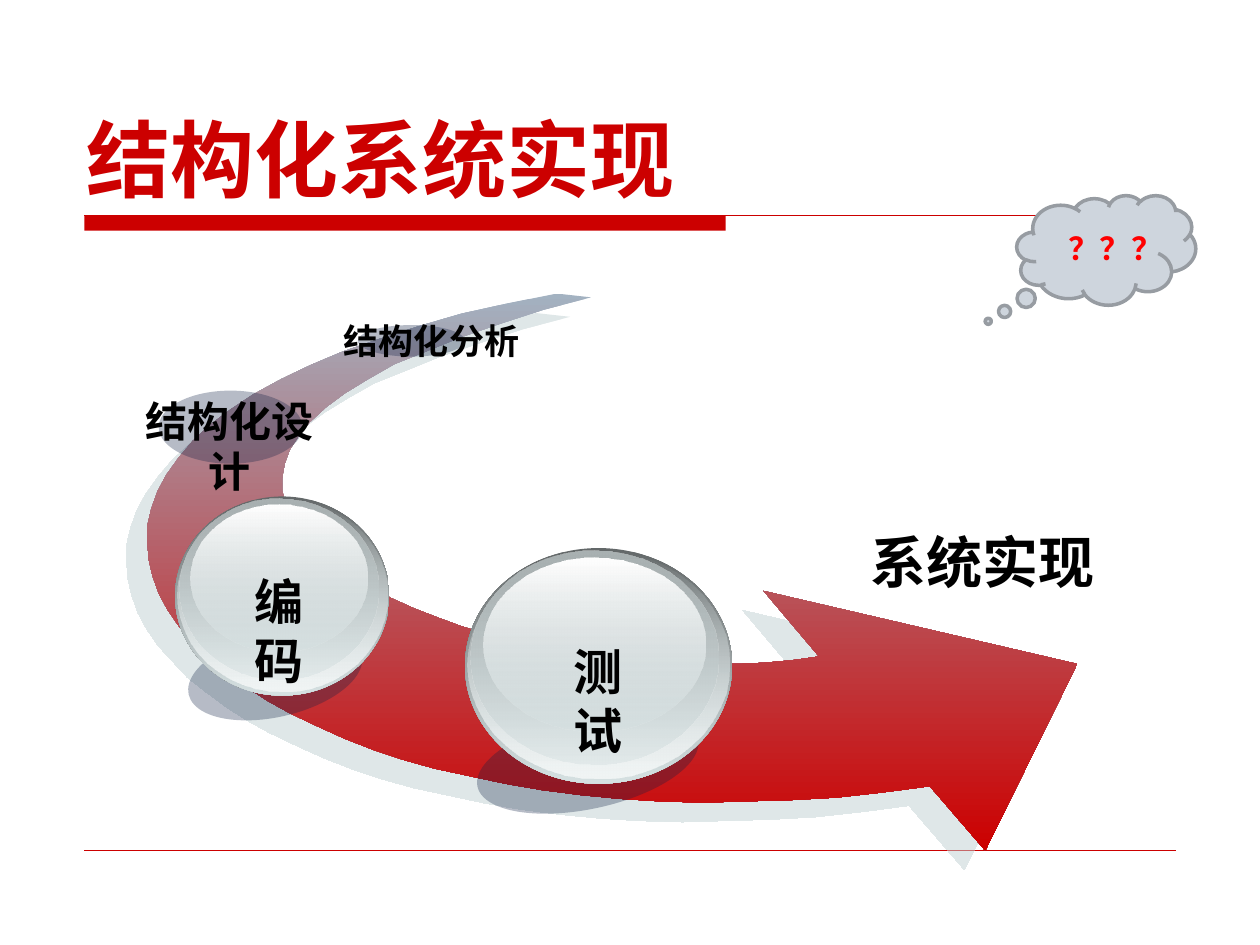
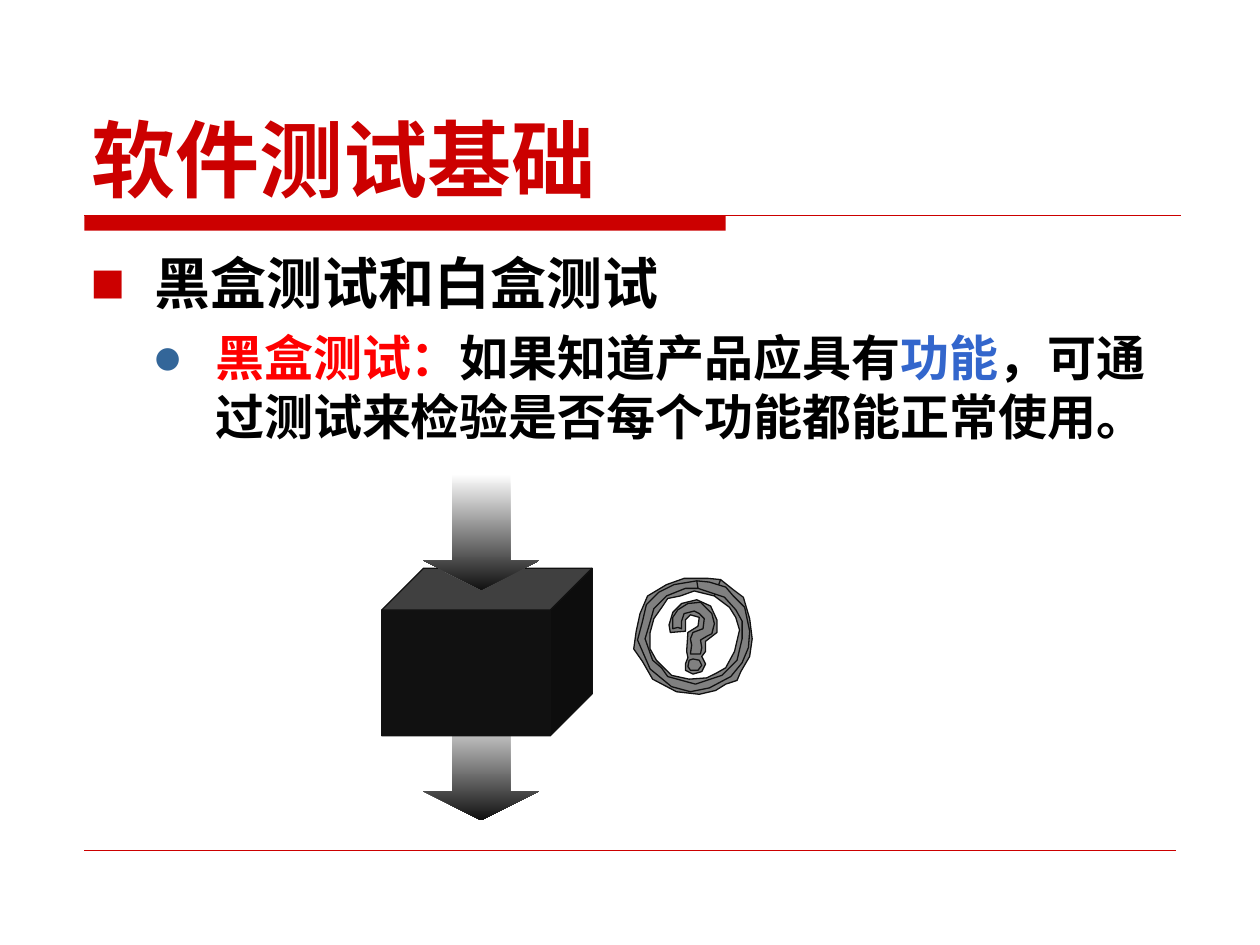
"""Build two slides on structured implementation and software testing."""
from itertools import zip_longest

from lxml.etree import SubElement
from pptx import Presentation
from pptx.dml.color import RGBColor
from pptx.enum.shapes import MSO_CONNECTOR as Connector, MSO_SHAPE as Shape
from pptx.enum.text import MSO_ANCHOR as Anchor, PP_ALIGN as Align
from pptx.oxml.ns import qn
from pptx.util import Emu, Pt

COLUMNS, ROWS = 1000, 750
CELL = 9144

RED = RGBColor(0xCC, 0x00, 0x00)
BRIGHT_RED = RGBColor(0xFF, 0x00, 0x00)
BLUE = RGBColor(0x33, 0x66, 0xCC)
BULLET_BLUE = RGBColor(0x33, 0x66, 0x99)
BLACK = RGBColor(0x00, 0x00, 0x00)
COAL = RGBColor(0x11, 0x11, 0x11)
WHITE = RGBColor(0xFF, 0xFF, 0xFF)
GRAY = RGBColor(0x80, 0x80, 0x80)
STEEL = RGBColor(0xA3, 0xB2, 0xC1)
NAVY = RGBColor(0x0F, 0x21, 0x45)
CLOUD = RGBColor(0xCE, 0xD5, 0xDD)
CLOUD_EDGE = RGBColor(0x97, 0x9C, 0xA2)
RIM = RGBColor(0x63, 0x68, 0x69)
MIST = RGBColor(0xD6, 0xE1, 0xE2)
PALE = RGBColor(0xF1, 0xF5, 0xF5)
SILVER = RGBColor(0xAA, 0xB2, 0xB3)
SHADE = RGBColor(0xC1, 0xD1, 0xD3)

CJK_FONT = "Noto Sans CJK SC"
LATIN_FONT = "DejaVu Sans"

ORB_LAYERS = [
    ((0, 0, 1, 1), (RIM, MIST), ()),
    ((0.01, 0.01, 0.98, 0.97), (MIST, PALE), (0,)),
    ((0.02, 0.01, 0.93, 0.91), (SILVER, MIST), (100, 48)),
    ((0.07, 0.04, 0.83, 0.74), (WHITE, MIST), (100, 38)),
]

SWOOSH = [
    (442, 233), (402, 241), (366, 249), (332, 259), (301, 269), (272, 279),
    (246, 290), (223, 301), (201, 313), (183, 325), (167, 337), (153, 350),
    (142, 363), (132, 377), (125, 390), (120, 404), (117, 417), (117, 431),
    (118, 444), (121, 457), (126, 471), (133, 484), (142, 497), (153, 509),
    (165, 522), (179, 533), (195, 545), (212, 556), (230, 566), (251, 576),
    (273, 586), (296, 595), (320, 603), (345, 610), (373, 616), (401, 622),
    (430, 627), (461, 631), (492, 634), (524, 636), (558, 637), (592, 636),
    (628, 635), (664, 633), (700, 629), (738, 624), (782, 675), (855, 527),
    (606, 469), (650, 521), (629, 524), (607, 526), (585, 527), (562, 527),
    (540, 527), (517, 525), (494, 523), (472, 521), (450, 517), (428, 513),
    (407, 508), (386, 503), (366, 497), (347, 490), (329, 483), (311, 475),
    (296, 467), (281, 459), (268, 450), (256, 441), (246, 431), (238, 421),
    (231, 411), (227, 400), (224, 390), (224, 379), (226, 368), (230, 357),
    (237, 346), (246, 335), (259, 323), (274, 312), (292, 301), (313, 289),
    (338, 279), (365, 268), (397, 257), (431, 246), (469, 236),
]
MARK_OUTER = [
    (544, 492), (548, 488), (555, 490), (554, 497), (546, 502), (545, 517),
    (546, 522), (544, 527), (544, 532), (550, 535), (557, 533), (560, 527),
    (557, 521), (560, 517), (560, 509), (569, 502), (569, 492), (564, 481),
    (553, 476), (541, 479), (534, 486), (531, 496), (532, 502), (544, 501),
]
MARK_INNER = [
    (534, 499), (538, 498), (541, 499), (541, 493), (543, 487), (551, 485),
    (555, 487), (559, 491), (558, 499), (550, 502), (548, 507), (549, 512),
    (548, 519), (556, 519), (557, 514), (556, 508), (561, 505), (565, 503),
    (567, 495), (565, 487), (556, 478), (546, 479), (538, 484), (534, 490),
]
MARK_DOT = [
    (550, 523), (547, 524), (546, 529), (548, 532), (554, 532), (557, 528),
    (555, 524),
]
RING_OUTER = [
    (562, 459), (543, 459), (529, 464), (514, 473), (508, 487), (505, 501),
    (503, 515), (510, 525), (518, 539), (537, 549), (555, 551), (568, 548),
    (576, 543), (585, 540), (588, 533), (595, 521), (597, 507), (595, 491),
    (590, 474), (582, 468), (572, 460), (567, 473), (579, 482), (584, 490),
    (587, 500), (583, 517), (576, 530), (569, 534), (561, 538), (547, 539),
    (533, 536), (521, 524), (516, 515), (516, 502), (519, 491), (526, 481),
    (530, 475), (540, 473), (551, 469), (567, 473), (572, 460),
]
RING_INNER = [
    (554, 467), (544, 467), (529, 473), (519, 483), (515, 497), (512, 507),
    (518, 524), (525, 530), (530, 537), (541, 540), (552, 543), (573, 536),
    (585, 524), (589, 507), (589, 493), (584, 484), (575, 474), (554, 467),
    (553, 461), (563, 462), (576, 466), (582, 473), (591, 482), (595, 501),
    (594, 514), (589, 526), (580, 537), (563, 546), (548, 549), (533, 545),
    (516, 531), (506, 508), (510, 493), (513, 480), (523, 470), (535, 464),
    (553, 461),
]


def cells(*counts):
    """Turn counts of grid cells into lengths."""
    return [Emu(round(count * CELL)) for count in counts]


def paint(shape, colors, opacities=(), line=None, width=0.75):
    """Give a shape a solid or top-to-bottom gradient fill and an outline."""
    shape.shadow.inherit = False
    if len(colors) == 1:
        shape.fill.solid()
        shape.fill.fore_color.rgb = colors[0]
    else:
        shape.fill.gradient()
        shape.fill.gradient_angle = 270
        for stop, color, position in zip(shape.fill.gradient_stops, colors, (0, 1)):
            stop.color.rgb = color
            stop.position = position
    marks = list(shape._element.spPr.iter(qn("a:srgbClr")))
    for mark, opacity in zip_longest(marks, opacities, fillvalue=100):
        if opacity < 100:
            SubElement(mark, qn("a:alpha"), val=str(opacity * 1000))
    if line is None:
        shape.line.fill.background()
    else:
        shape.line.color.rgb = line
        shape.line.width = Pt(width)
    return shape


def add_preset(shapes, kind, box, colors, adjustments=(), rotation=0, **style):
    """Add a painted preset shape."""
    shape = shapes.add_shape(kind, *cells(*box))
    for index, value in enumerate(adjustments):
        shape.adjustments[index] = value
    shape.rotation = rotation
    return paint(shape, colors, **style)


def add_outline(shapes, points, colors, **style):
    """Add a painted closed outline through grid points."""
    builder = shapes.build_freeform(*points[0], scale=CELL)
    builder.add_line_segments(points[1:], close=True)
    return paint(builder.convert_to_shape(), colors, **style)


def add_rule(shapes, start, end, width):
    """Add a thin red line without shadow."""
    line = shapes.add_connector(Connector.STRAIGHT, *cells(*start, *end))
    line.line.color.rgb = RED
    line.line.width = Pt(width)
    SubElement(line._element.spPr, qn("a:effectLst"))


def add_run(paragraph, text, size=28, color=BLACK, font=CJK_FONT):
    """Add a bold run in one font for all scripts."""
    run = paragraph.add_run()
    run.text = text
    run.font.size = Pt(size)
    run.font.bold = True
    run.font.color.rgb = color
    run.font.name = font
    properties = run._r.get_or_add_rPr()
    properties.set("lang", "zh-CN")
    SubElement(properties, qn("a:ea"), typeface=font)


def add_text(shapes, box, text, align=Align.LEFT, anchor=Anchor.TOP, wrap=True, **style):
    """Add a text box holding one formatted line."""
    frame = shapes.add_textbox(*cells(*box)).text_frame
    frame.word_wrap = wrap
    frame.vertical_anchor = anchor
    frame.paragraphs[0].alignment = align
    add_run(frame.paragraphs[0], text, **style)


def set_bullet(paragraph, symbol, color, percent, margin, hang, space):
    """Give a paragraph a coloured bullet with a hanging indent."""
    paragraph.space_before = Pt(space)
    properties = paragraph._p.get_or_add_pPr()
    left, indent = cells(margin, -hang)
    properties.set("marL", str(left))
    properties.set("indent", str(indent))
    tint = SubElement(properties, qn("a:buClr"))
    SubElement(tint, qn("a:srgbClr"), val=str(color))
    SubElement(properties, qn("a:buSzPct"), val=str(percent * 1000))
    SubElement(properties, qn("a:buFont"), typeface=LATIN_FONT)
    SubElement(properties, qn("a:buChar"), char=symbol)


def add_drop_shadow(shape, color, opacity, distance, angle):
    """Add a hard offset shadow."""
    effects = shape._element.spPr.find(qn("a:effectLst"))
    shadow = SubElement(effects, qn("a:outerShdw"), dist=str(Pt(distance)),
                        dir=str(angle * 60000), algn="ctr", rotWithShape="0")
    tint = SubElement(shadow, qn("a:srgbClr"), val=str(color))
    SubElement(tint, qn("a:alpha"), val=str(opacity * 1000))


def add_orb(slide, box, shadow, tilt, label, text):
    """Add a glossy labelled ball with its cast shadow."""
    shapes = slide.shapes.add_group_shape().shapes
    left, top, width, height = box
    add_preset(shapes, Shape.OVAL, shadow, [NAVY], rotation=tilt, opacities=(30,))
    for (x, y, w, h), colors, opacities in ORB_LAYERS:
        layer = (left + x * width, top + y * height, w * width, h * height)
        add_preset(shapes, Shape.OVAL, layer, colors, opacities=opacities)
    add_text(shapes, label, text, align=Align.CENTER, wrap=False)


def add_framed_slide(presentation, title, left):
    """Add a blank slide with the red title, title band and foot rule."""
    slide = presentation.slides.add_slide(presentation.slide_layouts[6])
    shapes = slide.shapes
    add_preset(shapes, Shape.RECTANGLE, (67, 171, 509, 12), [RED])
    add_rule(shapes, (67, 171), (937, 171), 0.75)
    add_rule(shapes, (67, 675), (933, 675), 0.25)
    add_text(shapes, (left, 65, 875, 105), title, anchor=Anchor.BOTTOM,
             size=48, color=RED)
    return slide


def build_implementation(presentation):
    """Show the stages along a sweeping arrow."""
    slide = add_framed_slide(presentation, "结构化系统实现", 59)
    shapes = slide.shapes
    swoosh = add_outline(shapes, SWOOSH, (STEEL, RED))
    add_drop_shadow(swoosh, SHADE, 50, 16.3, 137)
    add_text(shapes, (681, 414, 225, 64), "系统实现", size=32)
    add_orb(slide, (369, 435, 212, 187), (377, 569, 179, 73), 347.9,
            (426, 504, 97, 57), "测试")
    add_orb(slide, (139, 394, 170, 158), (148, 502, 141, 67), 347.1,
            (173, 449, 97, 57), "编码")
    for spot in ((126, 310, 114, 58), (284, 258, 85, 25)):
        add_preset(shapes, Shape.OVAL, spot, [NAVY], opacities=(30,))
    add_text(shapes, (89, 309, 186, 50), "结构化设计", align=Align.CENTER,
             wrap=False, size=24)
    add_text(shapes, (248, 249, 189, 44), "结构化分析", align=Align.CENTER, size=20)
    cloud = add_preset(shapes, Shape.CLOUD_CALLOUT, (807, 155, 142, 87), [CLOUD],
                       adjustments=(-0.66, 0.65), line=CLOUD_EDGE, width=2)
    cloud.text_frame.vertical_anchor = Anchor.MIDDLE
    thought = cloud.text_frame.paragraphs[0]
    thought.alignment = Align.CENTER
    add_run(thought, "？？？", size=18, color=BRIGHT_RED, font=LATIN_FONT)


def build_testing(presentation):
    """Explain black-box testing with a box between two arrows."""
    slide = add_framed_slide(presentation, "软件测试基础", 63)
    shapes = slide.shapes
    frame = shapes.add_textbox(*cells(62, 192, 875, 467)).text_frame
    frame.word_wrap = True
    heading = frame.paragraphs[0]
    set_bullet(heading, "■", RED, 65, 51, 51, 8)
    add_run(heading, "黑盒测试和白盒测试", size=32, font=LATIN_FONT)
    detail = frame.add_paragraph()
    detail.level = 1
    set_bullet(detail, "●", BULLET_BLUE, 60, 99, 48, 7)
    for text, color in (("黑盒测试：", BRIGHT_RED), ("如果知道产品应具有", BLACK),
                        ("功能", BLUE),
                        ("，可通过测试来检验是否每个功能都能正常使用。", BLACK)):
        add_run(detail, text, color=color, font=LATIN_FONT)

    arrow = dict(colors=(WHITE, COAL), adjustments=(0.5, 0.25))
    add_preset(shapes, Shape.DOWN_ARROW, (336, 559, 92, 92), **arrow)
    add_preset(shapes, Shape.CUBE, (303, 451, 167, 133), [COAL],
               adjustments=(0.25,), line=COAL)
    add_preset(shapes, Shape.DOWN_ARROW, (336, 376, 92, 92), **arrow)
    for points in (MARK_OUTER, MARK_INNER, MARK_DOT, RING_OUTER, RING_INNER):
        add_outline(shapes, points, [GRAY], line=COAL)


def main():
    """Build and save the presentation."""
    presentation = Presentation()
    presentation.slide_width, presentation.slide_height = cells(COLUMNS, ROWS)
    build_implementation(presentation)
    build_testing(presentation)
    presentation.save("out.pptx")


if __name__ == "__main__":
    main()
